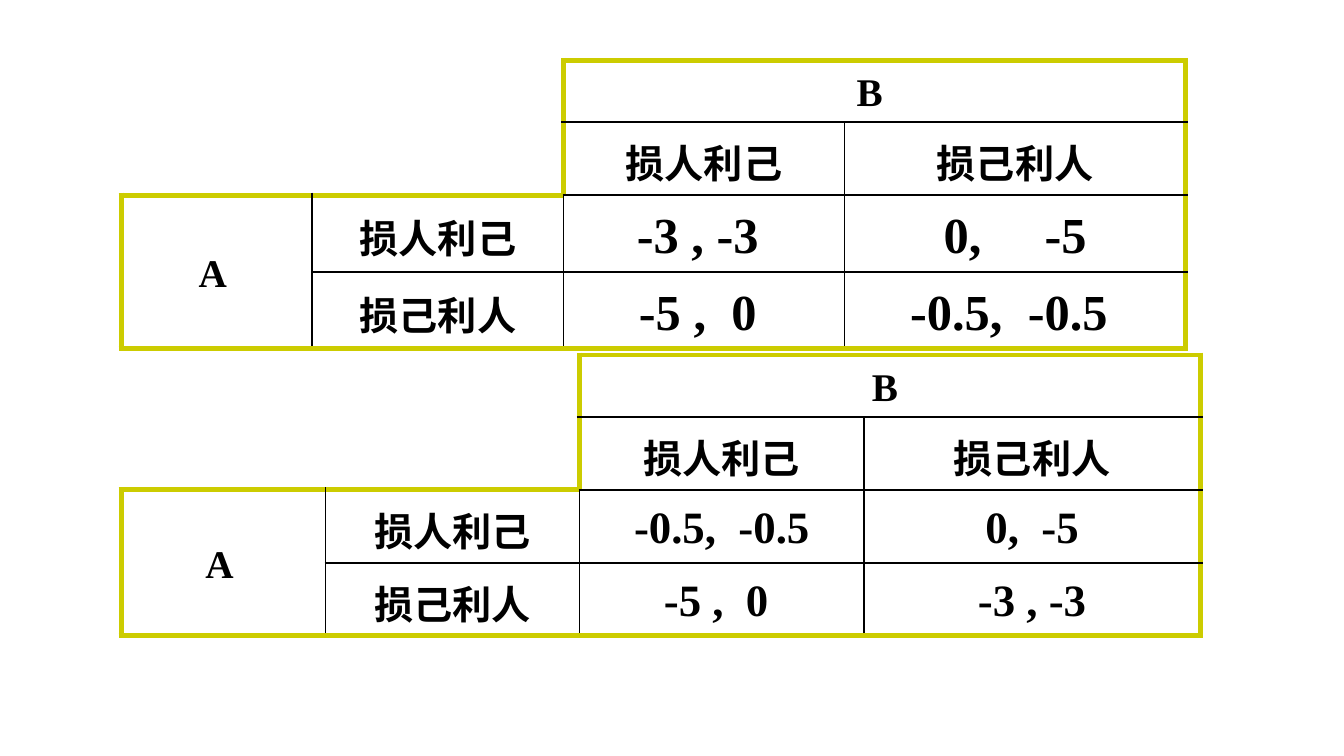
import lxml.etree
import pptx
import pptx.dml.color
import pptx.enum.text
import pptx.oxml.ns
import pptx.util

Cm = pptx.util.Cm
Pt = pptx.util.Pt
qn = pptx.oxml.ns.qn

COLORS = {"outline": "CCCC00", "grid": "000000", "text": "000000"}
PLAIN_STYLE = "{2D5ABB26-0587-4C30-8999-92F81FD0307C}"
HARM, HELP = "损人利己", "损己利人"

games = [
    {
        "top": 6.71, "size": 24,
        "columns": [3.86, 4.8, 5.38, 6.35], "rows": [1.17, 1.17, 1.35, 1.35],
        "payoffs": [["-0.5,  -0.5", " 0,  -5 "], ["-5 ,  0 ", "-3 , -3"]],
    },
    {
        "top": 1.14, "size": 27,
        "columns": [3.61, 4.75, 5.31, 6.45], "rows": [1.17, 1.17, 1.45, 1.45],
        "payoffs": [["-3 , -3 ", " 0,     -5 "], ["-5 ,  0 ", "-0.5,  -0.5 "]],
    },
]


def in_matrix(row, column):
    return 0 <= row < 4 and 0 <= column < 4 and not (row < 2 and column < 2)


def add_border(cell, side, inside, beyond):
    line = lxml.etree.SubElement(cell._tc.get_or_add_tcPr(), qn("a:ln" + side))
    if not inside and not beyond:
        lxml.etree.SubElement(line, qn("a:noFill"))
        return
    shared = inside and beyond
    line.set("w", str(Pt(1 if shared else 3)))
    fill = lxml.etree.SubElement(line, qn("a:solidFill"))
    color = lxml.etree.SubElement(fill, qn("a:srgbClr"))
    color.set("val", COLORS["grid" if shared else "outline"])


deck = pptx.Presentation()
deck.slide_width = Cm(25.4)
deck.slide_height = Cm(14.29)
page = deck.slides.add_slide(deck.slide_layouts[6])

for game in games:
    columns, rows = game["columns"], game["rows"]
    frame = page.shapes.add_table(
        4, 4, Cm(2.29), Cm(game["top"]), Cm(sum(columns)), Cm(sum(rows)))
    table = frame.table
    table.first_row = False
    table.horz_banding = False
    table._tbl.tblPr.find(qn("a:tableStyleId")).text = PLAIN_STYLE
    for index in range(4):
        table.columns[index].width = Cm(columns[index])
        table.rows[index].height = Cm(rows[index])
    for first, last in [((0, 0), (1, 1)), ((0, 2), (0, 3)), ((2, 0), (3, 0))]:
        table.cell(*first).merge(table.cell(*last))

    upper, lower = game["payoffs"]
    texts = [
        ["", "", "B ", ""],
        ["", "", HARM, HELP],
        ["A ", HARM, *upper],
        ["", HELP, *lower],
    ]
    for row in range(4):
        for column in range(4):
            cell = table.cell(row, column)
            cell.fill.background()
            if cell.is_spanned:
                continue
            cell._tc.get_or_add_tcPr().clear()
            height = cell.span_height if cell.is_merge_origin else 1
            width = cell.span_width if cell.is_merge_origin else 1
            inside = in_matrix(row, column)
            neighbours = {
                "L": (row, column - 1), "R": (row, column + width),
                "T": (row - 1, column), "B": (row + height, column),
            }
            for side, place in neighbours.items():
                add_border(cell, side, inside, in_matrix(*place))
            cell.fill.background()
            cell.vertical_anchor = pptx.enum.text.MSO_ANCHOR.MIDDLE
            cell.margin_left = cell.margin_right = Cm(0.25)
            cell.margin_top = cell.margin_bottom = Cm(0.1)
            if not texts[row][column]:
                continue

            para = cell.text_frame.paragraphs[0]
            para.text = texts[row][column]
            para.alignment = pptx.enum.text.PP_ALIGN.CENTER
            para.line_spacing = 1.1
            settings = para._p.get_or_add_pPr()
            settings.set("marL", str(Cm(0.79)))
            settings.set("indent", str(Cm(-0.79)))
            before = lxml.etree.SubElement(settings, qn("a:spcBef"))
            lxml.etree.SubElement(before, qn("a:spcPct")).set("val", "20000")
            lxml.etree.SubElement(settings, qn("a:buNone"))
            font = para.runs[0].font
            font.name = "Times New Roman"
            font.bold = True
            font.size = Pt(game["size"] if row > 1 and column > 1 else 21)
            font.color.rgb = pptx.dml.color.RGBColor.from_string(COLORS["text"])

deck.save("out.pptx")
